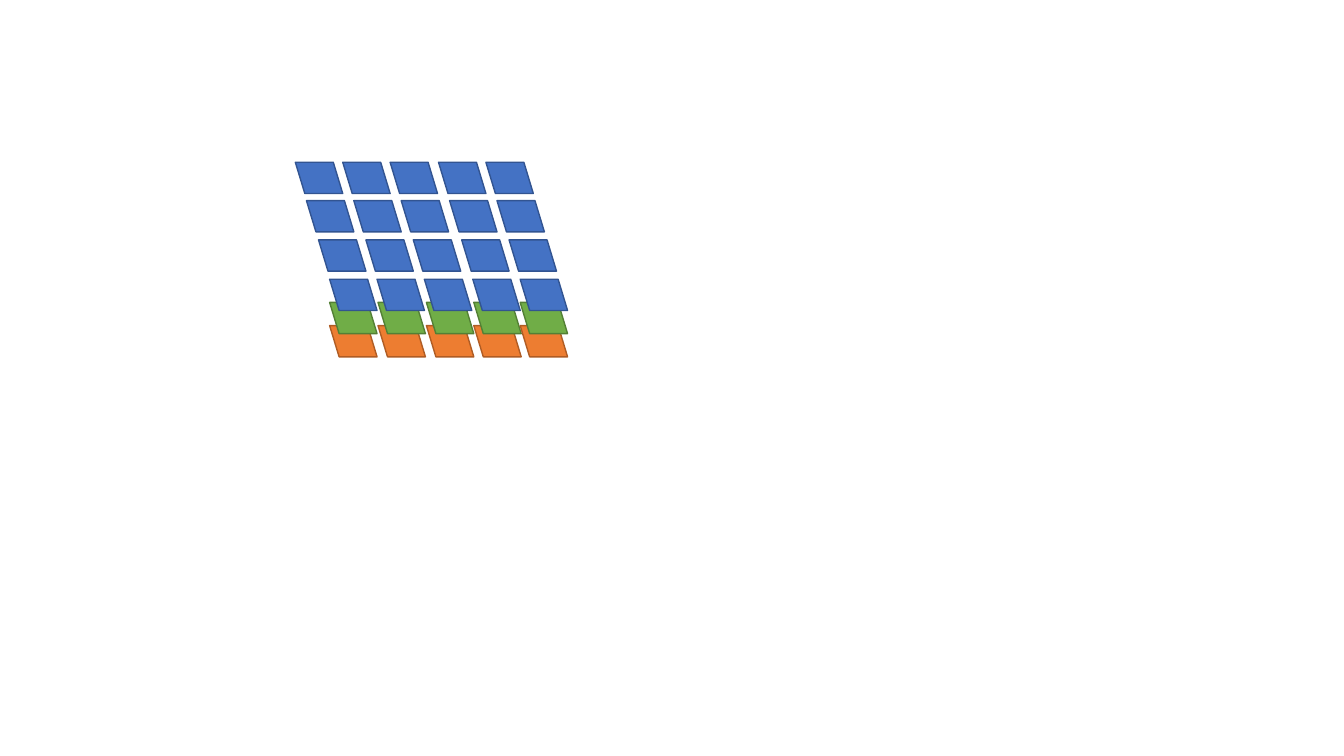
import pptx
import pptx.dml.color
import pptx.enum.shapes
import pptx.util

PX = 9144
TILE_WIDTH, TILE_HEIGHT = 47, 31
COLORS = {
    "blue": "4472C4", "blue_edge": "325491",
    "green": "70AD47", "green_edge": "538035",
    "orange": "ED7D31", "orange_edge": "AF5C24",
}


class Painter:
    def __init__(self, page):
        self.page = page

    def color(self, name):
        return pptx.dml.color.RGBColor.from_string(COLORS[name])

    def tile(self, left, top, name):
        kind = pptx.enum.shapes.MSO_SHAPE.FLOWCHART_DATA
        lengths = [value * PX for value in (left, top, TILE_WIDTH, TILE_HEIGHT)]
        shape = self.page.shapes.add_shape(kind, *lengths)
        shape.shadow.inherit = False
        shape.fill.solid()
        shape.fill.fore_color.rgb = self.color(name)
        shape.line.color.rgb = self.color(name + "_edge")
        shape.line.width = pptx.util.Pt(1)
        shape._element.spPr.xfrm.set("flipH", "1")


def main():
    deck = pptx.Presentation()
    deck.slide_width = pptx.util.Emu(1333 * PX)
    deck.slide_height = pptx.util.Emu(750 * PX)
    painter = Painter(deck.slides.add_slide(deck.slide_layouts[6]))

    for left in (470, 423, 375, 327, 516):
        painter.tile(left, 323, "orange")
        painter.tile(left, 300, "green")

    blue_rows = [(327, 277), (316, 238), (304, 199), (293, 161)]
    for left, top in blue_rows:
        for column in reversed(range(5)):
            painter.tile(left + round(column * 47.25), top, "blue")

    deck.save("out.pptx")


if __name__ == "__main__":
    main()
